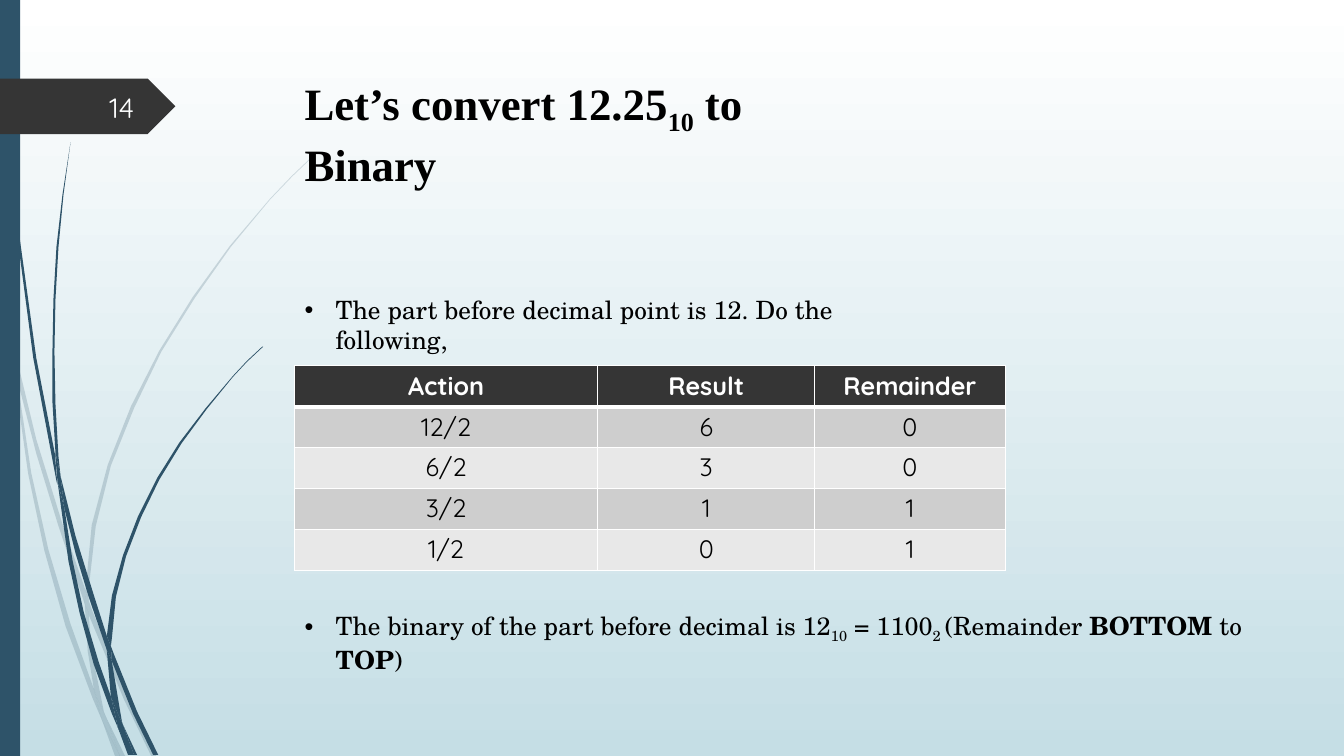
from lxml import etree
from pptx import Presentation
from pptx.dml.color import RGBColor
from pptx.enum.shapes import MSO_SHAPE
from pptx.enum.text import MSO_ANCHOR, MSO_AUTO_SIZE, PP_ALIGN
from pptx.oxml.ns import qn
from pptx.util import Inches, Pt

RECTANGLE, PENTAGON = MSO_SHAPE.RECTANGLE, MSO_SHAPE.PENTAGON
LEFT, CENTER, RIGHT = PP_ALIGN.LEFT, PP_ALIGN.CENTER, PP_ALIGN.RIGHT
TOP, MIDDLE = MSO_ANCHOR.TOP, MSO_ANCHOR.MIDDLE
NO_AUTOFIT = MSO_AUTO_SIZE.NONE

COLORS = {
    "sky": "FFFFFF", "ground": "C5DEE5", "blue": "2E5369", "dark": "353535",
    "text": "000000", "number": "FEFFFF", "white": "FFFFFF",
    "band_odd": "CECECE", "band_even": "E8E8E8",
}
SERIF, SCHOOL, SANS = "Times New Roman", "TeX Gyre Schola", "Quicksand"

PALE_BLADES = [
    [(.11, 3.5), (.09, 3.22), (0, 2.82), (0, 2.99), (.1, 3.44)],
    [(.58, 5.22), (.84, 5.99), (.85, 5.86), (.62, 5.2), (.36, 4.36), (.14, 3.45),
     (.17, 3.76), (.36, 4.5)],
    [(.92, 6.07), (.88, 5.96), (.88, 6.1), (1.23, 6.94), (1.5, 7.5), (1.55, 7.5),
     (1.27, 6.92)],
    [(1.19, 7.5), (1.24, 7.5), (1.05, 7.11)],
    [(.93, 6.83), (.7, 6.19), (.48, 5.45), (.31, 4.69), (.17, 3.76), (.11, 3.5),
     (.28, 4.7), (.44, 5.46), (.65, 6.21), (.92, 6.93), (1.01, 7.14), (.99, 7.07)],
    [(.84, 5.99), (.87, 6.46), (.93, 6.83), (.96, 6.92), (1.05, 7.11), (1.03, 7.06),
     (.91, 6.46), (.88, 6.1), (.88, 6.08)],
    [(.88, 5.84), (.95, 5.22), (1.1, 4.62), (1.33, 4.05), (1.6, 3.49), (1.93, 2.96),
     (2.29, 2.45), (2.68, 1.98), (2.9, 1.75), (3.12, 1.54), (3.12, 1.53), (2.89, 1.75),
     (2.68, 1.97), (2.28, 2.44), (1.91, 2.95), (1.58, 3.48), (1.3, 4.03), (1.07, 4.61),
     (.91, 5.21), (.85, 5.84), (.85, 5.86), (.88, 5.96)],
    [(1.01, 7.14), (1.14, 7.5), (1.19, 7.5)],
    [(.88, 6.08), (.88, 6.1), (.88, 5.96), (.85, 5.86), (.84, 5.99)],
    [(.96, 6.92), (.93, 6.83), (.99, 7.07), (1.01, 7.14), (1.19, 7.5), (1.05, 7.11)],
]
DARK_BLADES = [
    [(.07, 1.1), (.17, 2.33), (.33, 3.55), (.56, 4.77), (.57, 4.81), (.55, 4.57),
     (.55, 4.53), (.36, 3.55), (.19, 2.32), (.08, 1.09), (.05, .48), (.04, 0),
     (.03, 0), (.04, .48)],
    [(.88, 5.92), (1.06, 6.45), (1.06, 6.33), (1.06, 6.31), (.93, 5.9), (.75, 5.32),
     (.6, 4.72), (.64, 5.05), (.75, 5.49)],
    [(1.13, 6.49), (1.1, 6.41), (1.11, 6.56), (1.32, 7.08), (1.52, 7.49), (1.57, 7.49),
     (1.36, 7.06)],
    [(1.1, 6.91), (.98, 6.57), (.83, 6.07), (.72, 5.56), (.64, 5.05), (.57, 4.77),
     (.68, 5.57), (.79, 6.08), (.93, 6.59), (1.11, 7.08), (1.17, 7.22), (1.16, 7.17)],
    [(.6, 4.72), (.58, 4.53), (.55, 4.01), (.54, 3.49), (.55, 2.97), (.58, 2.45),
     (.63, 1.93), (.7, 1.41), (.62, 1.93), (.56, 2.45), (.53, 2.97), (.52, 3.49),
     (.52, 3.99), (.55, 4.49)],
    [(1.33, 7.49), (1.36, 7.49), (1.22, 7.19)],
    [(.57, 4.77), (.64, 5.05), (.6, 4.72), (.55, 4.49), (.55, 4.53)],
    [(1.11, 6.33), (1.15, 5.92), (1.25, 5.52), (1.4, 5.13), (1.58, 4.76), (1.8, 4.4),
     (2.05, 4.06), (2.31, 3.74), (2.45, 3.59), (2.61, 3.44), (2.6, 3.44), (2.45, 3.58),
     (2.31, 3.73), (2.04, 4.05), (1.78, 4.39), (1.56, 4.74), (1.37, 5.12), (1.22, 5.51),
     (1.11, 5.91), (1.06, 6.31), (1.1, 6.41)],
    [(1.17, 7.22), (1.27, 7.49), (1.31, 7.49)],
    [(1.06, 6.45), (1.1, 6.91), (1.16, 7.06), (1.22, 7.19), (1.21, 7.16), (1.11, 6.56),
     (1.09, 6.51)],
    [(1.06, 6.45), (1.09, 6.51), (1.11, 6.56), (1.1, 6.41), (1.06, 6.31)],
    [(1.16, 7.06), (1.1, 6.91), (1.16, 7.17), (1.17, 7.22), (1.3, 7.49), (1.33, 7.49),
     (1.22, 7.19)],
]
DIVISIONS = [
    ("Action", "Result", "Remainder"),
    ("12/2", "6", "0"), ("6/2", "3", "0"), ("3/2", "1", "1"), ("1/2", "0", "1"),
]


def rgb(name):
    return RGBColor.from_string(COLORS[name])


def paint(shape, color, opacity=100):
    shape.shadow.inherit = False
    shape.fill.solid()
    shape.fill.fore_color.rgb = rgb(color)
    shape.line.fill.background()
    if opacity < 100:
        tone = shape._element.spPr.find(".//" + qn("a:srgbClr"))
        etree.SubElement(tone, qn("a:alpha")).set("val", str(opacity * 1000))


def style(run, font, size, color, bold=False, baseline=0):
    run.font.name, run.font.size, run.font.bold = font, Pt(size), bold
    run.font.color.rgb = rgb(color)
    if baseline:
        run._r.get_or_add_rPr().set("baseline", str(baseline * 1000))


def write(paragraph, pieces, font, size, bold=False):
    for text, mark in pieces:
        run = paragraph.add_run()
        run.text = text
        style(run, font, size, "text", bold or mark == "bold", -25 if mark == "sub" else 0)


def add_blade(slide, corners, left, top, opacity):
    outline = [(left + Inches(x), top + Inches(y)) for x, y in corners]
    builder = slide.shapes.build_freeform(*outline[0])
    builder.add_line_segments(outline[1:], close=True)
    paint(builder.convert_to_shape(), "blue", opacity)


def add_backdrop(slide, left, top, height):
    sky = slide.background.fill
    sky.gradient()
    sky.gradient_angle = 270
    for stop, color, position in zip(sky.gradient_stops, ("sky", "ground"), (0, 1)):
        stop.color.rgb = rgb(color)
        stop.position = position
    for blades, opacity in ((PALE_BLADES, 20), (DARK_BLADES, 100)):
        for corners in blades:
            add_blade(slide, corners, left, top, opacity)
    paint(slide.shapes.add_shape(RECTANGLE, left, top, Inches(0.2), height), "blue")


def add_number_tag(slide, left, top, width, height):
    paint(slide.shapes.add_shape(PENTAGON, left, top, width, height), "dark")
    number = slide.shapes.add_textbox(
        left + Inches(0.58), top + Inches(0.08), Inches(0.85), Inches(0.4)).text_frame
    number.word_wrap = True
    number.vertical_anchor = MIDDLE
    number.text = "14"
    number.paragraphs[0].alignment = RIGHT
    style(number.paragraphs[0].runs[0], SANS, 20, "number")


def place(slide, holder, left, top, width, height):
    holder.left, holder.top, holder.width, holder.height = left, top, width, height
    slide.shapes._spTree.append(holder._element)
    frame = holder.text_frame
    frame.word_wrap, frame.auto_size, frame.vertical_anchor = True, NO_AUTOFIT, TOP
    paragraph = frame.paragraphs[0]
    paragraph.alignment = LEFT
    paragraph.space_before = Pt(0)
    return paragraph


def add_title(slide, left, top, width, height):
    heading = place(slide, slide.shapes.title, left, top, width, height)
    write(heading, [("Let’s convert 12.25", ""), ("10", "sub"), (" to Binary", "")],
          SERIF, 32, bold=True)


def add_bullet(slide, holder, pieces, left, top, width, height):
    point = place(slide, holder, left, top, width, height)
    properties = point._p.get_or_add_pPr()
    properties.set("marL", str(Inches(0.31)))
    properties.set("indent", str(-Inches(0.31)))
    etree.SubElement(properties, qn("a:buFont")).set("typeface", "Arial")
    etree.SubElement(properties, qn("a:buChar")).set("char", "•")
    write(point, pieces, SCHOOL, 18)


def add_borders(cell, bottom):
    properties = cell._tc.get_or_add_tcPr()
    for i, (side, points) in enumerate((("L", 1), ("R", 1), ("T", 1), ("B", bottom))):
        border = etree.Element(qn("a:ln" + side), w=str(Pt(points)))
        fill = etree.SubElement(border, qn("a:solidFill"))
        etree.SubElement(fill, qn("a:srgbClr")).set("val", COLORS["white"])
        properties.insert(i, border)


def add_divisions(slide, left, top, width, height):
    table = slide.shapes.add_table(
        len(DIVISIONS), len(DIVISIONS[0]), left, top, width, height).table
    for column, share in zip(table.columns, (3.01, 2.15, 1.89)):
        column.width = int(width * share / 7.05)
    for r, row in enumerate(DIVISIONS):
        header = r == 0
        band = "dark" if header else "band_odd" if r % 2 else "band_even"
        for c, value in enumerate(row):
            cell = table.cell(r, c)
            cell.text = value
            cell.margin_top = cell.margin_bottom = Inches(0.04)
            cell.fill.solid()
            cell.fill.fore_color.rgb = rgb(band)
            add_borders(cell, 3 if header else 1)
            entry = cell.text_frame.paragraphs[0]
            entry.alignment = CENTER
            style(entry.runs[0], SANS, 18, "white" if header else "text", header)


def main():
    deck = Presentation()
    deck.slide_width, deck.slide_height = Inches(13.33), Inches(7.5)
    slide = deck.slides.add_slide(deck.slide_layouts[3])
    _, task, answer = slide.placeholders
    left = Inches(2.92)
    add_backdrop(slide, 0, 0, deck.slide_height)
    add_number_tag(slide, 0, Inches(0.78), Inches(1.74), Inches(0.55))
    add_title(slide, left, Inches(0.7), Inches(5.65), Inches(1.25))
    add_bullet(slide, task, [("The part before decimal point is 12. Do the following,", "")],
               left, Inches(2.87), Inches(6.43), Inches(0.7))
    add_divisions(slide, left, Inches(3.63), Inches(7.05), Inches(2.03))
    add_bullet(slide, answer, [
        ("The binary of the part before decimal is 12", ""), ("10", "sub"),
        (" = 1100", ""), ("2 ", "sub"), ("(Remainder ", ""), ("BOTTOM ", "bold"),
        ("to ", ""), ("TOP", "bold"), (")", ""),
    ], left, Inches(6), Inches(9.85), Inches(0.75))
    deck.save("out.pptx")


if __name__ == "__main__":
    main()
